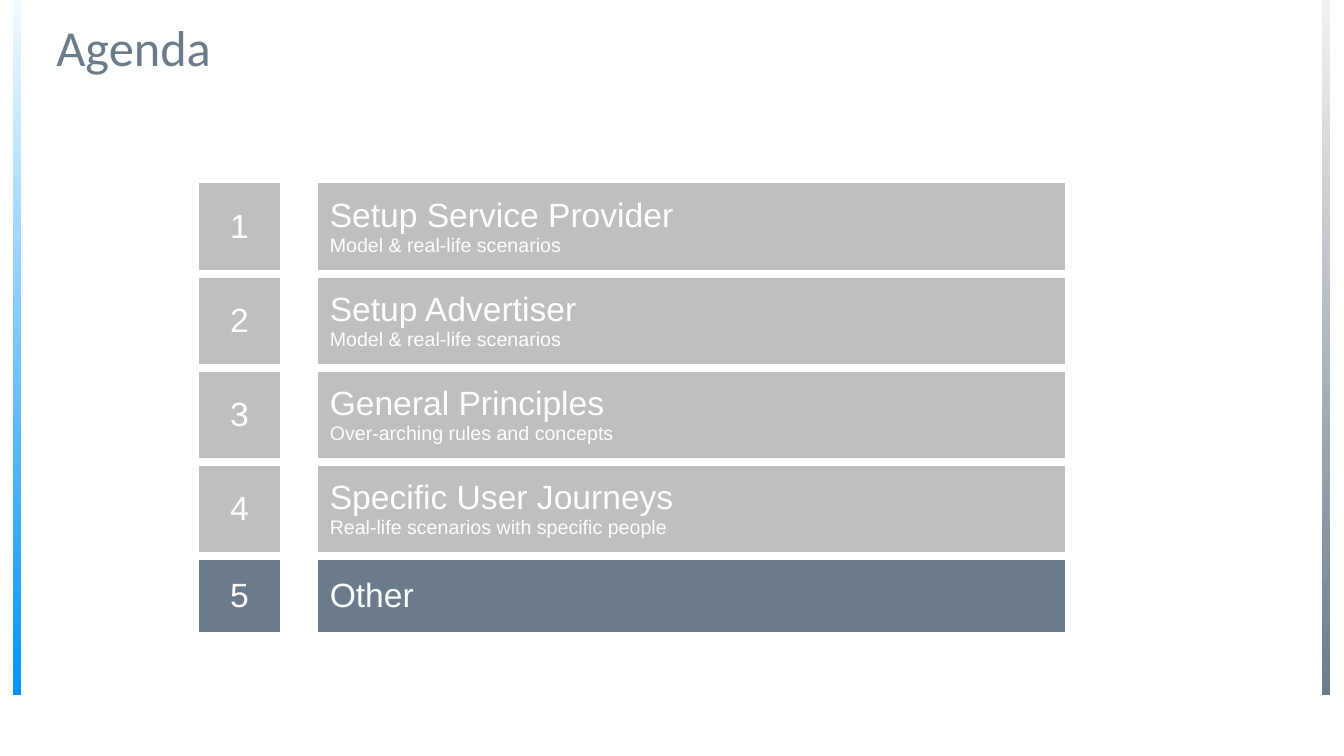
import pptx
import pptx.dml.color
import pptx.enum.shapes
import pptx.enum.text
import pptx.oxml
import pptx.oxml.ns
import pptx.util
from pptx.util import Cm

COLORS = {
    "white": "FFFFFF",
    "pale": "F8FFFC",
    "grey": "BFBFBF",
    "slate": "6B7B8B",
    "ice": "F2FAFF",
    "blue": "0093FF",
    "mist": "F2F2F2",
}
AGENDA = [
    ("Setup Service Provider", "Model & real-life scenarios"),
    ("Setup Advertiser", "Model & real-life scenarios"),
    ("General Principles", "Over-arching rules and concepts"),
    ("Specific User Journeys", "Real-life scenarios with specific people"),
    ("Other", ""),
]
CURRENT = 5
MIDDLE = pptx.enum.text.MSO_ANCHOR.MIDDLE
CENTER = pptx.enum.text.PP_ALIGN.CENTER


def rgb(name):
    return pptx.dml.color.RGBColor.from_string(COLORS[name])


def set_attrs(obj, values):
    for name, value in values.items():
        setattr(obj, name, value)


def add_run(p, text, size, color, font="Arial"):
    r = p.add_run()
    r.text = text
    set_attrs(r.font, {"name": font, "size": pptx.util.Pt(size)})
    r.font.color.rgb = rgb(color)


def add_side_bar(s, left, top_color, bottom_color):
    sp = s.shapes.add_shape(pptx.enum.shapes.MSO_SHAPE.RECTANGLE,
                            left, 0, Cm(0.2), Cm(17.52))
    sp.shadow.inherit = False
    sp.line.fill.background()
    sp.fill.gradient()
    sp.fill.gradient_angle = 270
    for stop, color in zip(sp.fill.gradient_stops, (top_color, bottom_color)):
        stop.color.rgb = rgb(color)


def add_title(s, text):
    tf = s.shapes.add_textbox(Cm(1.17), Cm(0.46), Cm(31.55), Cm(1.6)).text_frame
    set_attrs(tf, {"word_wrap": True, "vertical_anchor": MIDDLE})
    p = tf.paragraphs[0]
    p.line_spacing = 0.9
    add_run(p, text, 36, "slate", "Calibri")


def set_borders(cell, color, width):
    tcPr = cell._tc.get_or_add_tcPr()
    for i, side in enumerate(("lnL", "lnR", "lnT", "lnB")):
        tcPr.insert(i, pptx.oxml.parse_xml(
            f'<a:{side} {pptx.oxml.ns.nsdecls("a")} w="{pptx.util.Pt(width)}">'
            f'<a:solidFill><a:srgbClr val="{COLORS[color]}"/></a:solidFill>'
            f'</a:{side}>'))


def format_cell(cell, fill, margin):
    sides = ("left", "right", "top", "bottom")
    set_attrs(cell, {f"margin_{side}": margin for side in sides})
    cell.vertical_anchor = MIDDLE
    cell.fill.solid()
    cell.fill.fore_color.rgb = rgb(fill)


def add_agenda(s, items):
    widths = [Cm(2.21), Cm(0.79), Cm(19)]
    row_height = Cm(2)
    table = s.shapes.add_table(len(items), len(widths), Cm(4.93), Cm(4.53),
                               sum(widths), row_height * len(items)).table
    set_attrs(table, {"first_row": False, "horz_banding": False})
    for column, width in zip(table.columns, widths):
        column.width = width
    for number, (row, (topic, detail)) in enumerate(zip(table.rows, items), 1):
        row.height = row_height
        number_cell, gap_cell, topic_cell = row.cells
        is_current = number == CURRENT
        fill = "slate" if is_current else "grey"
        format_cell(number_cell, fill, 0)
        format_cell(topic_cell, fill, Cm(0.38))
        gap_cell.fill.background()
        for cell in row.cells:
            set_borders(cell, "white", 6)

        p = number_cell.text_frame.paragraphs[0]
        p.alignment = CENTER
        add_run(p, str(number), 24, "white")
        p = topic_cell.text_frame.paragraphs[0]
        add_run(p, topic, 24, "pale" if is_current else "white")
        if detail:
            p.add_line_break()
            add_run(p, detail, 14, "white")


def main():
    prs = pptx.Presentation()
    set_attrs(prs, {"slide_width": Cm(33.87), "slide_height": Cm(19.05)})
    s = prs.slides.add_slide(prs.slide_layouts[6])
    add_side_bar(s, Cm(0.33), "ice", "blue")
    add_side_bar(s, Cm(33.32), "mist", "slate")
    add_title(s, "Agenda")
    add_agenda(s, AGENDA)
    prs.save("out.pptx")


if __name__ == "__main__":
    main()
